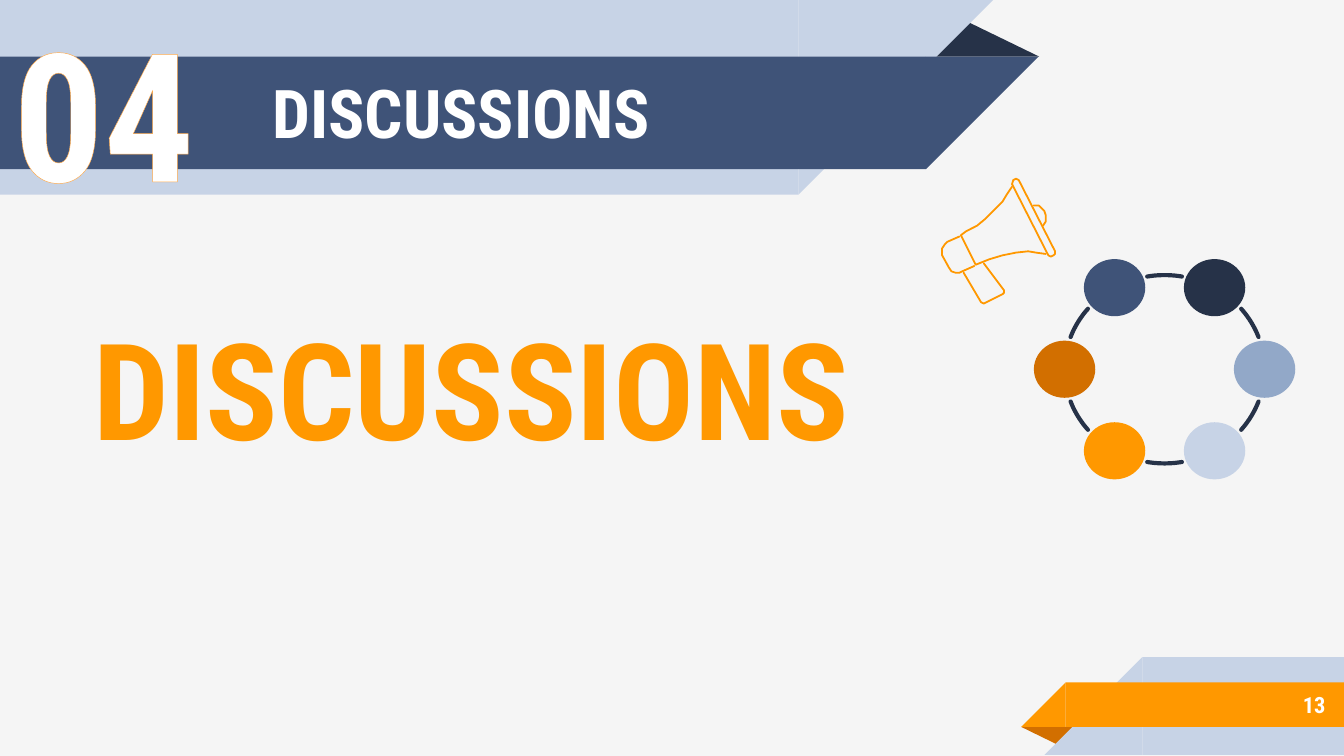
"""Builds the section slide that opens the discussions chapter."""
from math import cos, radians, sin

from lxml import etree
from pptx import Presentation
from pptx import util as u
from pptx.dml.color import RGBColor
from pptx.enum import shapes, text
from pptx.oxml.ns import qn

THEME = {
    "font": "Roboto Condensed",
    "paper": "F5F5F5", "white": "FFFFFF", "navy": "263248", "blue": "3F5378",
    "steel": "92A8C8", "pale": "C7D3E6", "orange": "FF9800",
    "rust": "D26F00", "edge": "FFAA4B",
    "title": 36, "hero": 72, "number": 96, "page": 12,
    "thin": 0.96, "thick": 2.25,
}
WIDE, HIGH = 25.4, 14.29

FOLDS = [((17.48, 0.36, 2.16, 0.71), 0, "navy"),
         ((19.3, 13.74, 1.09, 0.36), 180, "rust")]
TOP = [(0, 15.09, 3.68, "pale"), (1.07, 17.5, 2.13, "blue")]
FOOT = [(12.42, 21.59, 1.85, "pale"), (12.9, 20.14, 0.84, "orange")]

TITLE = ("DISCUSSIONS", (4.9, 1.04, 8, 2.13), "title", "white")
LABELS = {
    "page": ("13", (21.16, 12.88, 4.14, 0.89), "page", "white"),
    "number": ("04", (0, -0.08, 3.96, 4.37), "number", "white"),
    "hero": ("DISCUSSIONS", (1.52, 5.69, 15.47, 3.23), "hero", "orange"),
}

RING = {"mid": (22.01, 6.98), "radii": (1.89, 1.78), "dot": (1.16, 1.08),
        "dots": ["steel", "pale", "orange", "rust", "blue", "navy"], "reach": 10}

GRID = 0.0254
HORN = {
    "grip": [(717, 203), (730, 225), (732, 226), (734, 225), (746, 219),
             (747, 218), (747, 216), (732, 196)],
    "knob": [(776, 168), (778, 165), (778, 160), (777, 157), (775, 155),
             (773, 153), (771, 153), (769, 153)],
    "back": [(714, 176), (705, 180), (703, 182), (701, 185), (701, 190),
             (706, 199), (708, 202), (711, 203), (714, 203), (716, 202),
             (725, 198)],
    "bell": [(753, 139), (749, 145), (746, 150), (740, 156), (733, 163),
             (727, 168), (719, 172), (715, 175), (726, 197), (736, 193),
             (746, 190), (756, 188), (765, 187), (771, 188), (778, 189)],
    "rim": [(756, 133), (754, 134), (753, 137), (780, 190), (782, 191),
            (784, 190), (785, 189), (785, 187), (758, 134)],
}


def tint(name):
    return RGBColor.from_string(THEME[name])


def place(box):
    return [u.Cm(n) for n in box]


def draw(slide, kind, box, color, turn=0):
    shape = slide.shapes.add_shape(kind, *place(box))
    shape.shadow.inherit = False
    shape.fill.solid()
    shape.fill.fore_color.rgb = tint(color)
    shape.line.fill.background()
    shape.rotation = turn
    return shape


def trace(slide, points, color, width, close=False):
    dots = [tuple(place(p)) for p in points]
    pen = slide.shapes.build_freeform(*dots[0])
    pen.add_line_segments(dots[1:], close=close)
    shape = pen.convert_to_shape()
    shape.shadow.inherit = False
    shape.fill.background()
    shape.line.color.rgb = tint(color)
    shape.line.width = u.Pt(THEME[width])
    shape.element.spPr.get_or_add_ln().set("cap", "rnd")


def write(shape, words, size, color, align=text.PP_ALIGN.LEFT):
    frame = shape.text_frame
    frame.text = words
    frame.word_wrap = True
    frame.auto_size = text.MSO_AUTO_SIZE.NONE
    frame.vertical_anchor = text.MSO_ANCHOR.MIDDLE
    frame.margin_left = frame.margin_right = u.Cm(0.25)
    frame.margin_top = frame.margin_bottom = u.Cm(0.25)
    line = frame.paragraphs[0]
    line.alignment = align
    font = line.runs[0].font
    font.name, font.size, font.bold = THEME["font"], u.Pt(THEME[size]), True
    font.color.rgb = tint(color)
    return frame


def outline(run, color):
    props = run.font._element
    edge = etree.Element(qn("a:ln"), w=str(u.Pt(1)))
    fill = etree.SubElement(edge, qn("a:solidFill"))
    etree.SubElement(fill, qn("a:srgbClr"), val=THEME[color])
    props.insert(0, edge)


def bands(slide):
    kind = shapes.MSO_SHAPE
    for box, turn, color in FOLDS:
        fold = draw(slide, kind.ISOSCELES_TRIANGLE, box, color, turn)
        fold.adjustments[0] = 0.324
    for top, end, size, color in TOP:
        draw(slide, kind.RECTANGLE, (0, top, end, size), color)
        draw(slide, kind.RIGHT_TRIANGLE, (end, top, size, size), color, 90)
    for top, start, size, color in FOOT:
        draw(slide, kind.RECTANGLE, (start, top, WIDE - start, size), color)
        draw(slide, kind.RIGHT_TRIANGLE, (start - size, top, size, size), color, 270)


def orbit(angle):
    return [m + r * f(radians(angle))
            for m, r, f in zip(RING["mid"], RING["radii"], (cos, sin))]


def ring(slide):
    wide, high = RING["dot"]
    step = 360 // len(RING["dots"])
    for i, color in enumerate(RING["dots"]):
        x, y = orbit(i * step)
        box = (x - wide / 2, y - high / 2, wide, high)
        draw(slide, shapes.MSO_SHAPE.OVAL, box, color)
        mid, reach = (i + 0.5) * step, RING["reach"]
        arc = [orbit(mid + d) for d in range(-reach, reach + 1, 2)]
        trace(slide, arc, "navy", "thick")


def main():
    deck = Presentation()
    deck.slide_width, deck.slide_height = place((WIDE, HIGH))
    slide = deck.slides.add_slide(deck.slide_layouts[5])
    slide.background.fill.solid()
    slide.background.fill.fore_color.rgb = tint("paper")
    bands(slide)

    title = slide.shapes.title
    words, box, size, color = TITLE
    title.left, title.top, title.width, title.height = place(box)
    write(title, words, size, color)
    title.element.getparent().append(title.element)

    frames = {}
    for name, (words, box, size, color) in LABELS.items():
        label = slide.shapes.add_textbox(*place(box))
        frames[name] = write(label, words, size, color)
    frames["page"].paragraphs[0].alignment = text.PP_ALIGN.RIGHT
    number = frames["number"]
    number.vertical_anchor = text.MSO_ANCHOR.TOP
    number.margin_top = number.margin_bottom = u.Cm(0.13)
    outline(number.paragraphs[0].runs[0], "edge")

    for part, points in HORN.items():
        spots = [(x * GRID, y * GRID) for x, y in points]
        trace(slide, spots, "orange", "thin", part == "rim")
    ring(slide)
    deck.save("out.pptx")


if __name__ == "__main__":
    main()
